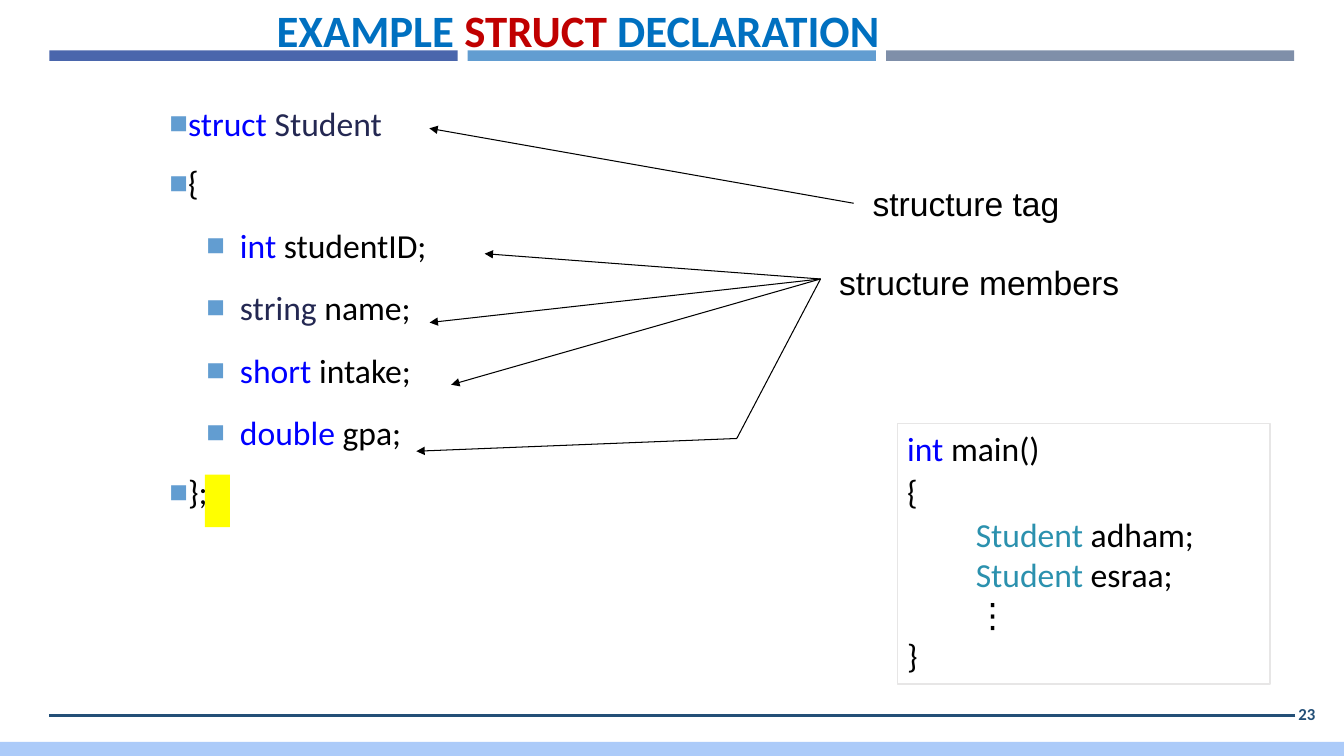
from dataclasses import dataclass

from lxml import etree
from pptx import Presentation
from pptx.dml.color import RGBColor
from pptx.enum.shapes import MSO_CONNECTOR, MSO_SHAPE
from pptx.enum.text import MSO_ANCHOR, MSO_AUTO_SIZE, PP_ALIGN
from pptx.oxml.ns import qn
from pptx.util import Pt

STRAIGHT = MSO_CONNECTOR.STRAIGHT
RECTANGLE = MSO_SHAPE.RECTANGLE
TOP, MIDDLE = MSO_ANCHOR.TOP, MSO_ANCHOR.MIDDLE
LEFT, RIGHT = PP_ALIGN.LEFT, PP_ALIGN.RIGHT
NO_AUTOFIT = MSO_AUTO_SIZE.NONE


@dataclass(frozen=True)
class Theme:
    heading: str = "0070C0"
    accent: str = "C00000"
    keyword: str = "0000FF"
    type_name: str = "242852"
    class_name: str = "2B91AE"
    ink: str = "000000"
    bullet: str = "629DD1"
    bars: tuple = ("4A66AC", "629DD1", "7F8FA9")
    rule: str = "234F77"
    footer: str = "ACCBF9"
    border: str = "E7E6E6"
    highlight: str = "FFFF00"
    title_size: int = 32
    text_size: int = 24
    number_size: int = 12
    code_font: str = "Calibri"
    label_font: str = "Arial"


theme = Theme()


def fill_paragraph(paragraph, parts, size, font, bold=False, before=0, margin=0, indent=0):
    paragraph.alignment = LEFT
    paragraph.space_before = Pt(before)
    properties = paragraph._p.get_or_add_pPr()
    properties.set("marL", str(Pt(margin)))
    properties.set("indent", str(Pt(indent)))
    for text, color in parts:
        run = paragraph.add_run()
        run.text = text
        run.font.size = Pt(size)
        run.font.name = font
        run.font.bold = bold
        run.font.color.rgb = RGBColor.from_string(color)


def set_frame(shape, box, inset_top, anchor=TOP):
    shape.left, shape.top, shape.width, shape.height = (Pt(length) for length in box)
    frame = shape.text_frame
    frame.auto_size = NO_AUTOFIT
    frame.word_wrap = True
    frame.vertical_anchor = anchor
    frame.margin_left = frame.margin_right = frame.margin_bottom = 0
    frame.margin_top = Pt(inset_top)
    return frame


presentation = Presentation()
presentation.slide_width = Pt(960)
presentation.slide_height = Pt(540)
slide = presentation.slides.add_slide(presentation.slide_layouts[1])
title, body = slide.placeholders

blocks = [(35.3 + 298.8 * index, 36, 291.6, 7.5, color) for index, color in enumerate(theme.bars)]
blocks.append((0, 529.9, 960, 10.1, theme.footer))
blocks.append((146.4, 339, 17.8, 37.6, theme.highlight))
for left, top, width, height, color in blocks:
    block = slide.shapes.add_shape(RECTANGLE, Pt(left), Pt(top), Pt(width), Pt(height))
    block.shadow.inherit = False
    block.fill.solid()
    block.fill.fore_color.rgb = RGBColor.from_string(color)
    block.line.fill.background()

members_point = (586.1, 199.3)
elbow = (526.3, 313.2)
lines = [
    ((925.2, 511.2), (35.3, 511.2), theme.rule, 2.25, False),
    ((609.8, 145.2), (306.7, 91.7), theme.ink, 0.75, True),
    (members_point, (346.2, 181.2), theme.ink, 0.75, True),
    (members_point, (306.9, 230.4), theme.ink, 0.75, True),
    (members_point, (322.3, 274.8), theme.ink, 0.75, True),
    (members_point, elbow, theme.ink, 0.75, False),
    (elbow, (297.4, 322.3), theme.ink, 0.75, True),
]
for start, end, color, width, has_arrow in lines:
    connector = slide.shapes.add_connector(STRAIGHT, *(Pt(length) for length in start + end))
    connector.line.color.rgb = RGBColor.from_string(color)
    connector.line.width = Pt(width)
    if has_arrow:
        etree.SubElement(connector.line._get_or_add_ln(), qn("a:tailEnd"), type="triangle")
    etree.SubElement(connector.element.spPr, qn("a:effectLst"))

number = slide.shapes.add_textbox(0, 0, 0, 0)
frame = set_frame(number, (889.2, 489.6, 50.4, 41), 0, MIDDLE)
fill_paragraph(frame.paragraphs[0], [("23", theme.rule)], theme.number_size, theme.code_font, True)
frame.paragraphs[0].alignment = RIGHT

labels = slide.shapes.add_textbox(0, 0, 0, 0)
frame = set_frame(labels, (598.3, 129.6, 202.3, 85), 1)
for index, (text, margin, before) in enumerate([("structure tag", 25, 1), ("structure members", 1, 28)]):
    paragraph = frame.add_paragraph() if index else frame.paragraphs[0]
    fill_paragraph(paragraph, [(text, theme.ink)], theme.text_size, theme.label_font,
                   before=before, margin=margin)

main_box = slide.shapes.add_shape(RECTANGLE, 0, 0, 0, 0)
main_box.shadow.inherit = False
main_box.fill.background()
main_box.line.color.rgb = RGBColor.from_string(theme.border)
main_box.line.width = Pt(0.75)
frame = set_frame(main_box, (640.8, 302.8, 266.4, 185.8), 2.9)
main_code = [
    ([("int ", theme.keyword), ("main()", theme.ink)], 7.2, 2.9),
    ([("{", theme.ink)], 7.2, 1.9),
    ([("Student ", theme.class_name), ("adham;", theme.ink)], 56.2, 1.6),
    ([("Student ", theme.class_name), ("esraa;", theme.ink)], 56.2, 0),
    ([("⋮", theme.ink)], 56.2, 0),
    ([("}", theme.ink)], 7.2, 0),
]
for index, (parts, margin, before) in enumerate(main_code):
    paragraph = frame.add_paragraph() if index else frame.paragraphs[0]
    fill_paragraph(paragraph, parts, theme.text_size, theme.code_font, before=before, margin=margin)

frame = set_frame(body, (121, 64.8, 297.4, 311), 8.6)
struct_code = [
    ([("struct ", theme.keyword), ("Student", theme.type_name)], 0, 8.7),
    ([("{", theme.ink)], 0, 7.7),
    ([("int ", theme.keyword), ("studentID;", theme.ink)], 1, 4),
    ([("string ", theme.type_name), ("name;", theme.ink)], 1, 4),
    ([("short ", theme.keyword), ("intake;", theme.ink)], 1, 4),
    ([("double ", theme.keyword), ("gpa;", theme.ink)], 1, 4),
    ([("};", theme.ink)], 0, 7.7),
]
for index, (parts, level, before) in enumerate(struct_code):
    paragraph = frame.add_paragraph() if index else frame.paragraphs[0]
    paragraph.level = level
    paragraph.line_spacing = 1.2 if level else 1.0
    paragraph.space_after = Pt(6)
    margin, indent = (50.4, -24) if level else (13.4, -13.4)
    fill_paragraph(paragraph, parts, theme.text_size, theme.code_font,
                   before=before, margin=margin, indent=indent)
    properties = paragraph._p.get_or_add_pPr()
    bullet_color = etree.SubElement(properties, qn("a:buClr"))
    etree.SubElement(bullet_color, qn("a:srgbClr"), val=theme.bullet)
    etree.SubElement(properties, qn("a:buSzPct"), val="92000")
    etree.SubElement(properties, qn("a:buFont"), typeface=theme.label_font)
    etree.SubElement(properties, qn("a:buChar"), char="■")

frame = set_frame(title, (196.6, 0.7, 565.9, 39.6), 1)
title_parts = [("EXAMPLE ", theme.heading), ("STRUCT", theme.accent), (" DECLARATION", theme.heading)]
fill_paragraph(frame.paragraphs[0], title_parts, theme.title_size, theme.code_font, True,
               before=1, margin=1)

for placeholder in (body, title):
    placeholder.element.getparent().append(placeholder.element)

presentation.save("out.pptx")
